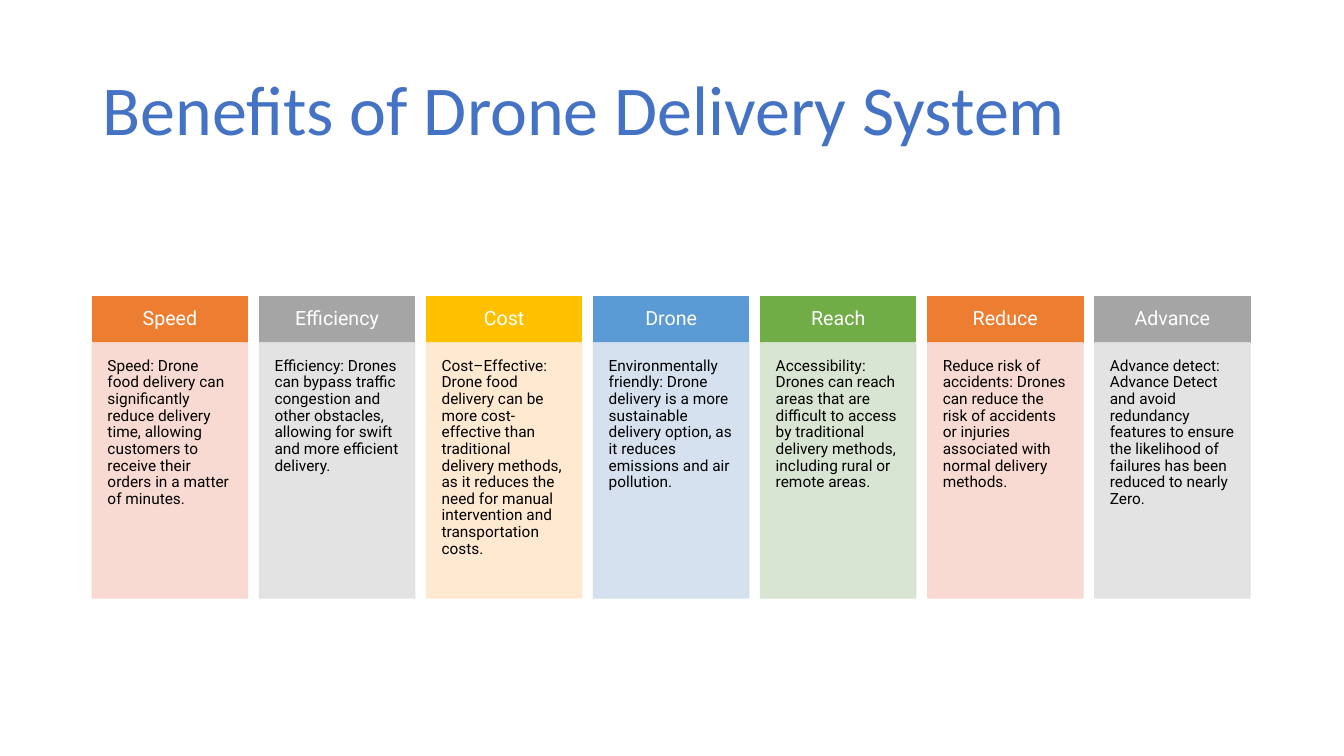
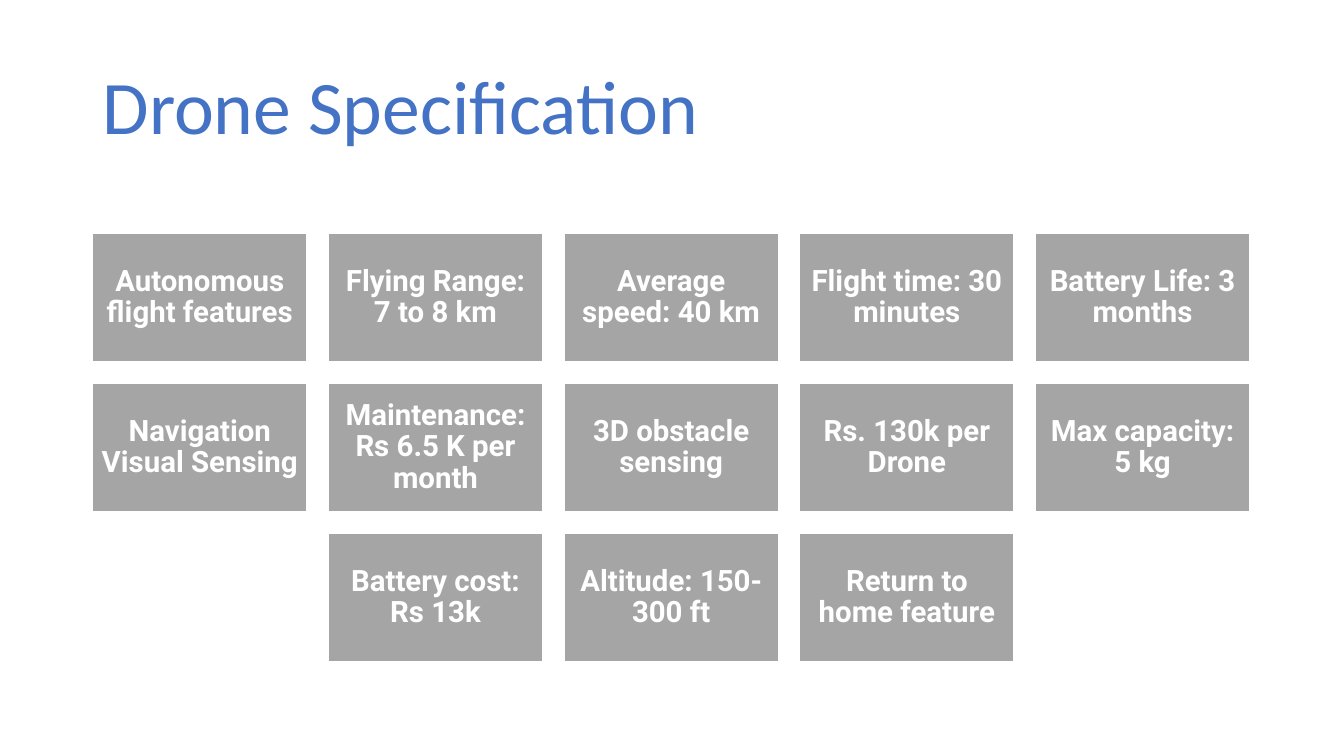
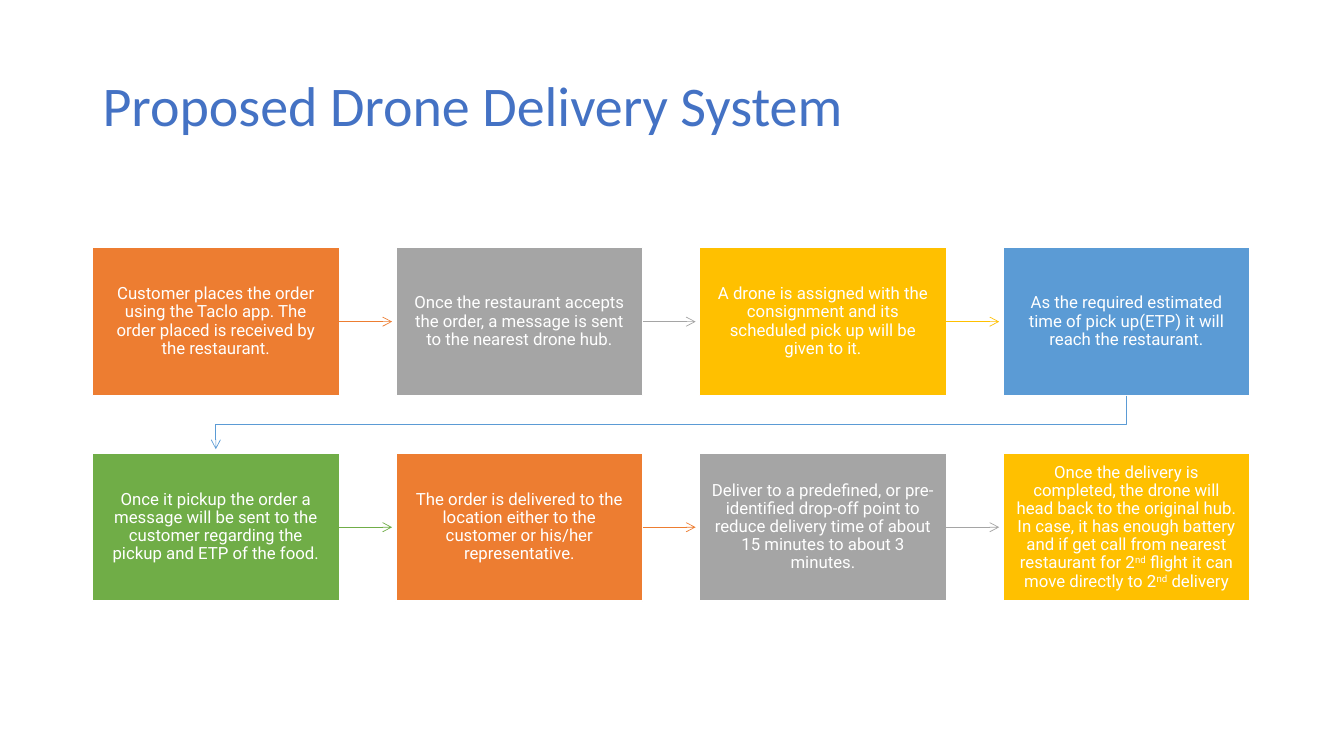
from lxml.etree import SubElement
from pptx import Presentation
from pptx.dml.color import RGBColor
from pptx.enum.shapes import MSO_CONNECTOR as Connector, MSO_SHAPE as Preset
from pptx.enum.text import MSO_ANCHOR as Anchor, MSO_AUTO_SIZE as AutoSize, PP_ALIGN as Align
from pptx.oxml.ns import qn
from pptx.util import Cm, Pt

COLORS = {
    "title": "4472C4",
    "white": "FFFFFF",
    "black": "000000",
    "orange": "ED7D31",
    "gray": "A5A5A5",
    "gold": "FFC000",
    "blue": "5B9BD5",
    "green": "70AD47",
    "pale orange": "F8D7CE",
    "pale gray": "E1E1E1",
    "pale gold": "FFE8CC",
    "pale blue": "D2DEEF",
    "pale green": "D5E3CF",
}
CYCLE = ["orange", "gray", "gold", "blue", "green"]
TITLE_FONT = "Calibri"
BODY_FONT = "Roboto"
LEFT = 2.33
LINE_SPACING = 0.9
ARROW_GAP = 0.1

BENEFITS = [
    ("Speed", "Speed: Drone food delivery can significantly reduce delivery time, allowing customers to receive their orders in a matter of minutes."),
    ("Efficiency", "Efficiency: Drones can bypass traffic congestion and other obstacles, allowing for swift and more efficient delivery."),
    ("Cost", "Cost–Effective: Drone food delivery can be more cost-effective than traditional delivery methods, as it reduces the need for manual intervention and transportation costs."),
    ("Drone", "Environmentally friendly: Drone delivery is a more sustainable delivery option, as it reduces emissions and air pollution."),
    ("Reach", "Accessibility: Drones can reach areas that are difficult to access by traditional delivery methods, including rural or remote areas."),
    ("Reduce", "Reduce risk of accidents: Drones can reduce the risk of accidents or injuries associated with normal delivery methods."),
    ("Advance", "Advance detect: Advance Detect and avoid redundancy features to ensure the likelihood of failures has been reduced to nearly Zero."),
]
SPECIFICATIONS = [
    ["Autonomous flight features", "Flying Range: 7 to 8 km", "Average speed: 40 km",
     "Flight time: 30 minutes", "Battery Life: 3 months"],
    ["Navigation Visual Sensing", "Maintenance: Rs 6.5 K per month", "3D obstacle sensing",
     "Rs. 130k per Drone", "Max capacity: 5 kg"],
    ["Battery cost: Rs 13k", "Altitude: 150-300 ft", "Return to home feature"],
]
STEPS = [
    "Customer places the order using the Taclo app. The order placed is received by the restaurant.",
    "Once the restaurant accepts the order, a message is sent to the nearest drone hub.",
    "A drone is assigned with the consignment and its scheduled pick up will be given to it.",
    "As the required estimated time of pick up(ETP) it will reach the restaurant.",
    "Once it pickup the order a message will be sent to the customer regarding the pickup and ETP of the food.",
    "The order is delivered to the location either to the customer or his/her representative.",
    "Deliver to a predefined, or pre-identified drop-off point to reduce delivery time of about 15 minutes to about 3 minutes.",
    "Once the delivery is completed, the drone will head back to the original hub. In case, it has enough battery and if get call from nearest restaurant for 2|nd| flight it can move directly to 2|nd| delivery",
]


def rgb(color):
    return RGBColor.from_string(COLORS[color])


def format_paragraph(paragraph, font_name, size, color, align, bold=False):
    paragraph.alignment = align
    paragraph.line_spacing = LINE_SPACING
    font = paragraph.font
    font.name, font.size, font.bold = font_name, Pt(size), bold
    font.color.rgb = rgb(color)


def add_titled_slide(presentation, text, size, width=29.64, height=2.9):
    slide = presentation.slides.add_slide(presentation.slide_layouts[5])
    title = slide.shapes.title
    title.left, title.top = Cm(LEFT), Cm(1.02)
    title.width, title.height = Cm(width), Cm(height)
    frame = title.text_frame
    frame.text = text
    frame.auto_size = AutoSize.NONE
    frame.vertical_anchor = Anchor.BOTTOM
    format_paragraph(frame.paragraphs[0], TITLE_FONT, size, "title", Align.LEFT)
    return slide


def write_runs(paragraph, text):
    for index, part in enumerate(text.split("|")):
        run = paragraph.add_run()
        run.text = part
        if index % 2:
            run._r.get_or_add_rPr().set("baseline", "30000")


def add_box(slide, left, top, width, height, text, fill, line, size, inset,
            color="white", bold=False, align=Align.CENTER, anchor=Anchor.MIDDLE):
    shape = slide.shapes.add_shape(Preset.RECTANGLE, Cm(left), Cm(top), Cm(width), Cm(height))
    shape.shadow.inherit = False
    shape.fill.solid()
    shape.fill.fore_color.rgb = rgb(fill)
    shape.line.color.rgb = rgb(line)
    shape.line.width = Pt(1)
    frame = shape.text_frame
    frame.word_wrap = True
    frame.vertical_anchor = anchor
    frame.margin_left = frame.margin_right = Cm(inset)
    frame.margin_top = frame.margin_bottom = Cm(inset)
    paragraph = frame.paragraphs[0]
    write_runs(paragraph, text)
    format_paragraph(paragraph, BODY_FONT, size, color, align, bold)
    return shape


def make_translucent(shape, percent):
    for color in shape._element.spPr.iter(qn("a:srgbClr")):
        SubElement(color, qn("a:alpha"), val=str(percent * 1000))


def style_arrow(arrow, color):
    arrow.line.color.rgb = rgb(color)
    arrow.line.width = Pt(0.5)
    SubElement(arrow.line._get_or_add_ln(), qn("a:tailEnd"), type="arrow")


def add_arrow(slide, source, target, color):
    middle = source.top + source.height // 2
    arrow = slide.shapes.add_connector(
        Connector.STRAIGHT, source.left + source.width, middle, target.left - Cm(ARROW_GAP), middle)
    arrow.begin_connect(source, 3)
    style_arrow(arrow, color)
    SubElement(arrow._element.spPr, qn("a:effectLst"))


def add_return_arrow(slide, source, target, color):
    start_x = source.left + source.width // 2
    end_x = target.left + target.width // 2
    bottom = source.top + source.height
    middle = (bottom + target.top) // 2
    builder = slide.shapes.build_freeform(start_x, bottom)
    builder.add_line_segments(
        [(start_x, middle), (end_x, middle), (end_x, target.top - Cm(ARROW_GAP))], close=False)
    arrow = builder.convert_to_shape()
    arrow.fill.background()
    style_arrow(arrow, color)
    arrow.shadow.inherit = False


def build_benefits(presentation):
    slide = add_titled_slide(presentation, "Benefits of Drone Delivery System", 50)
    width, pitch, top, header_height = 3.91, 4.21, 7.47, 1.17
    for index, (heading, detail) in enumerate(BENEFITS):
        color = CYCLE[index % len(CYCLE)]
        pale = f"pale {color}"
        left = LEFT + index * pitch
        add_box(slide, left, top, width, header_height, heading, color, color, 14, 0.3)
        panel = add_box(slide, left, top + header_height, width, 6.43, detail, pale, pale, 11, 0.38,
                        color="black", align=Align.LEFT, anchor=Anchor.TOP)
        make_translucent(panel, 90)


def build_specifications(presentation):
    slide = add_titled_slide(presentation, "Drone Specification", 54)
    columns = len(SPECIFICATIONS[0])
    for row, texts in enumerate(SPECIFICATIONS):
        first_column = (columns - len(texts)) / 2
        for column, text in enumerate(texts):
            add_box(slide, LEFT + (first_column + column) * 5.94, 5.87 + row * 3.78, 5.41, 3.25,
                    text, "gray", "white", 21, 0.23, bold=True)


def build_process(presentation):
    slide = add_titled_slide(presentation, "Proposed Drone Delivery System", 40, 29.21, 2.59)
    columns = 4
    colors = [CYCLE[index % len(CYCLE)] for index in range(len(STEPS))]
    boxes = []
    for index, (text, color) in enumerate(zip(STEPS, colors)):
        row, column = divmod(index, columns)
        boxes.append(add_box(slide, LEFT + column * 7.65, 6.24 + row * 5.18, 6.22, 3.73,
                             text, color, "white", 12, 0.3))
    for source, target, color in zip(boxes, boxes[1:], colors):
        connect = add_arrow if source.top == target.top else add_return_arrow
        connect(slide, source, target, color)


def main():
    presentation = Presentation()
    presentation.slide_width, presentation.slide_height = Cm(33.87), Cm(19.05)
    build_benefits(presentation)
    build_specifications(presentation)
    build_process(presentation)
    presentation.save("out.pptx")


if __name__ == "__main__":
    main()
